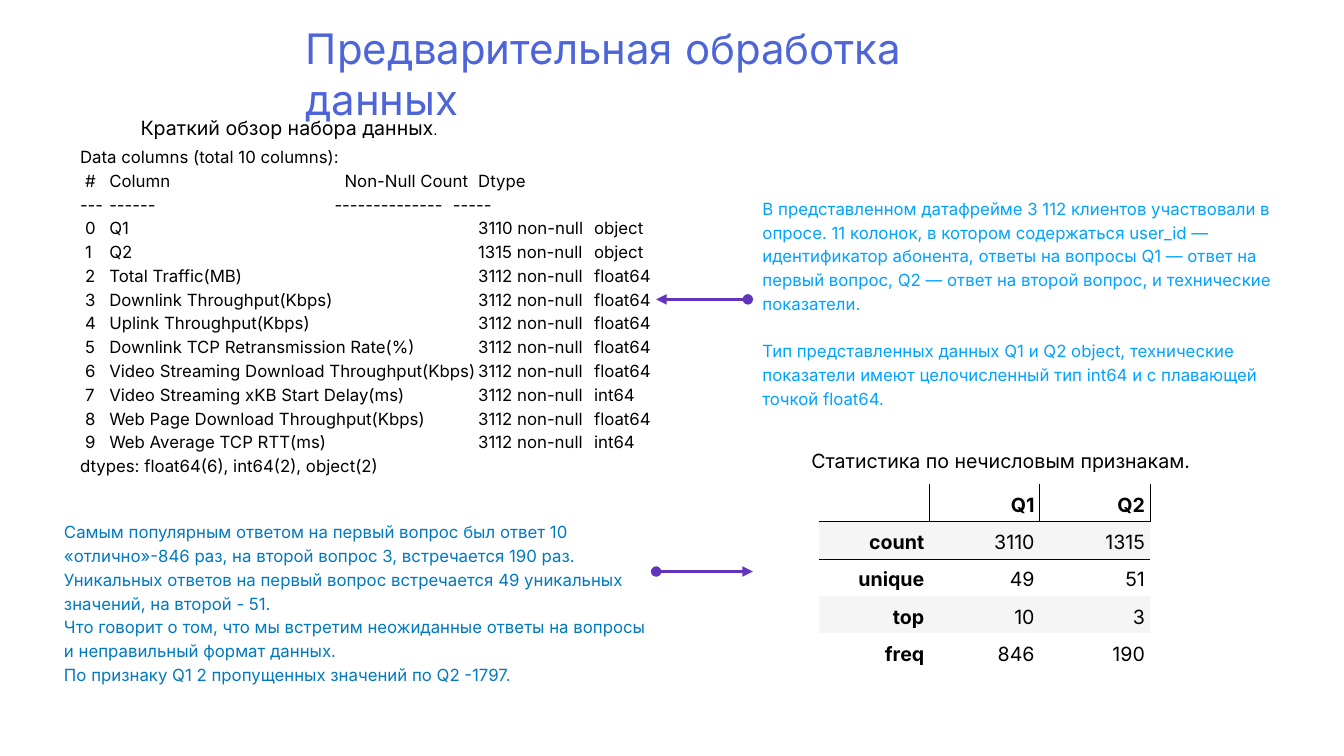
from dataclasses import dataclass

from lxml import etree
from pptx import Presentation
from pptx.dml.color import RGBColor
from pptx.enum.shapes import MSO_CONNECTOR
from pptx.enum.text import MSO_ANCHOR, MSO_AUTO_SIZE, PP_ALIGN
from pptx.oxml.ns import qn
from pptx.util import Inches, Pt

STRAIGHT = MSO_CONNECTOR.STRAIGHT
TOP, MIDDLE = MSO_ANCHOR.TOP, MSO_ANCHOR.MIDDLE
LEFT, RIGHT = PP_ALIGN.LEFT, PP_ALIGN.RIGHT
NO_AUTOFIT = MSO_AUTO_SIZE.NONE


@dataclass(frozen=True)
class Theme:
    font: str = "Inter"
    period_font: str = "Arial"
    title: str = "4E65D9"
    text: str = "000000"
    dataset_note: str = "00A2FF"
    answers_note: str = "0079BF"
    arrow: str = "6234BE"
    stripe: str = "F5F5F5"
    title_size: int = 60
    heading_size: int = 28
    body_size: int = 24
    period_size: int = 22
    line_spacing: float = 1.18


theme = Theme()


def format_text(frame, size, color, align=LEFT, spacing=theme.line_spacing, bold=False):
    for paragraph in frame.paragraphs:
        paragraph.alignment = align
        paragraph.line_spacing = spacing
        for run in paragraph.runs:
            run.font.name = theme.font
            run.font.size = Pt(size)
            run.font.bold = bold
            run.font.color.rgb = RGBColor.from_string(color)


def add_text(box, text, size, color, anchor=MIDDLE, margin=0.06):
    """Add a wrapped text box and return its text frame."""
    frame = slide.shapes.add_textbox(*map(Inches, box)).text_frame
    frame.word_wrap = True
    frame.vertical_anchor = anchor
    frame.margin_left = frame.margin_right = Inches(margin)
    frame.margin_top = frame.margin_bottom = Inches(min(margin, 0.06))
    frame.text = text
    format_text(frame, size, color)
    return frame


presentation = Presentation()
presentation.slide_width = Inches(26.67)
presentation.slide_height = Inches(15)
slide = presentation.slides.add_slide(presentation.slide_layouts[5])

# Title
title = slide.shapes.title
title.left, title.top, title.width, title.height = map(Inches, (6.01, 0.89, 14.98, 1.12))
heading = title.text_frame
heading.text = "Предварительная обработка данных"
heading.word_wrap = True
heading.auto_size = NO_AUTOFIT
heading.vertical_anchor = MIDDLE
heading.margin_left = heading.margin_right = Inches(0.06)
heading.margin_top = heading.margin_bottom = Inches(0.06)
format_text(heading, theme.title_size, theme.title, spacing=1.0)

# Data frame summary, with its columns set on tab stops
data_columns = [
    ("Q1", 3110, "object"),
    ("Q2", 1315, "object"),
    ("Total Traffic(MB)", 3112, "float64"),
    ("Downlink Throughput(Kbps)", 3112, "float64"),
    ("Uplink Throughput(Kbps)", 3112, "float64"),
    ("Downlink TCP Retransmission Rate(%)", 3112, "float64"),
    ("Video Streaming Download Throughput(Kbps)", 3112, "float64"),
    ("Video Streaming xKB Start Delay(ms)", 3112, "int64"),
    ("Web Page Download Throughput(Kbps)", 3112, "float64"),
    ("Web Average TCP RTT(ms)", 3112, "int64"),
]
summary_lines = [
    "Data columns (total 10 columns):",
    "\t#\tColumn\tNon-Null Count\tDtype",
    "---\t------\t--------------\t-----",
]
summary_lines += [
    f"\t{number}\t{name}\t{count} non-null\t{dtype}"
    for number, (name, count, dtype) in enumerate(data_columns)
]
summary_lines.append("dtypes: float64(6), int64(2), object(2)")
summary = add_text((1.49, 2.78, 13.33, 6.77), "\n".join(summary_lines),
                   theme.body_size, theme.text, TOP, margin=0.1)

index_stops = (0.1, 0.58)
header_stops = {1: (5.25, 7.9), 2: (5.05, 7.4)}
data_stops = (7.9, 10.2)
for line_number, line in enumerate(summary.paragraphs):
    if "\t" not in line.text:
        continue
    properties = line._p.get_or_add_pPr()
    stops = etree.SubElement(properties, qn("a:tabLst"))
    for position in index_stops + header_stops.get(line_number, data_stops):
        etree.SubElement(stops, qn("a:tab"), pos=str(Inches(position)), algn="l")

# Section headings
overview = add_text((2.73, 2.15, 7.3, 0.67), "Краткий обзор набора данных",
                    theme.heading_size, theme.text)
period = overview.paragraphs[0].add_run()
period.text = "."
period.font.name = theme.period_font
period.font.size = Pt(theme.period_size)
period.font.color.rgb = RGBColor.from_string(theme.text)
add_text((16.04, 8.77, 8.09, 0.67), "Статистика по нечисловым признакам.",
         theme.heading_size, theme.text)

# Notes
dataset_note = add_text(
    (15.07, 3.79, 10.32, 4.4),
    "В представленном датафрейме 3 112 клиентов участвовали в опросе. "
    "11 колонок, в котором содержаться user_id — идентификатор абонента, "
    "ответы на вопросы Q1 — ответ на первый вопрос, Q2 — ответ на второй "
    "вопрос, и технические показатели.\n"
    "Тип представленных данных Q1 и Q2 object, технические показатели имеют "
    "целочисленный тип int64 и с плавающей точкой float64.",
    theme.body_size, theme.dataset_note)
dataset_note.paragraphs[1].space_before = Pt(34)
add_text(
    (1.21, 10.21, 11.81, 3.45),
    "Самым популярным ответом на первый вопрос был ответ 10 «отлично»-846 раз, "
    "на второй вопрос 3, встречается 190 раз.\n"
    "Уникальных ответов на первый вопрос встречается 49 уникальных значений, "
    "на второй - 51.\n"
    "Что говорит о том, что мы встретим неожиданные ответы на вопросы и "
    "неправильный формат данных.\n"
    "По признаку Q1 2 пропущенных значений по Q2 -1797.",
    theme.body_size, theme.answers_note)

# Arrows between the notes and the data
for start, end, y in ((14.84, 13.02, 5.94), (13.02, 14.94, 11.34)):
    arrow = slide.shapes.add_connector(
        STRAIGHT, Inches(start), Inches(y), Inches(end), Inches(y))
    arrow.line.width = Pt(5)
    arrow.line.color.rgb = RGBColor.from_string(theme.arrow)
    line_properties = arrow.line._get_or_add_ln()
    etree.SubElement(line_properties, qn("a:headEnd"), type="oval")
    etree.SubElement(line_properties, qn("a:tailEnd"), type="triangle")
    etree.SubElement(arrow._element.spPr, qn("a:effectLst"))

# Statistics table
statistics = [
    ("", "Q1", "Q2"),
    ("count", "3110", "1315"),
    ("unique", "49", "51"),
    ("top", "10", "3"),
    ("freq", "846", "190"),
]
table_frame = slide.shapes.add_table(
    len(statistics), 3, Inches(16.25), Inches(9.61), Inches(6.57), Inches(3.7))
NO_GRID_STYLE = "{2D5ABB26-0587-4C30-8999-92F81FD0307C}"
table_frame._element.find(".//" + qn("a:tableStyleId")).text = NO_GRID_STYLE
table = table_frame.table
table.first_row = table.horz_banding = False

for row, values in enumerate(statistics):
    for column, value in enumerate(values):
        cell = table.cell(row, column)
        cell.text = value
        cell.vertical_anchor = MIDDLE
        format_text(cell.text_frame, theme.heading_size, theme.text, RIGHT,
                    bold=row == 0 or column == 0)
        edges = []
        if row == 0:
            edges = ["lnR", "lnB"] if column == 0 else ["lnL", "lnR", "lnB"]
        elif row == 1:
            edges = ["lnT"]
        for edge in edges:
            border = etree.SubElement(
                cell._tc.get_or_add_tcPr(), qn(f"a:{edge}"), w=str(Pt(1)))
            border_fill = etree.SubElement(border, qn("a:solidFill"))
            etree.SubElement(border_fill, qn("a:srgbClr"), val=theme.text)
        if row % 2:
            cell.fill.solid()
            cell.fill.fore_color.rgb = RGBColor.from_string(theme.stripe)
        else:
            cell.fill.background()

presentation.save("out.pptx")
